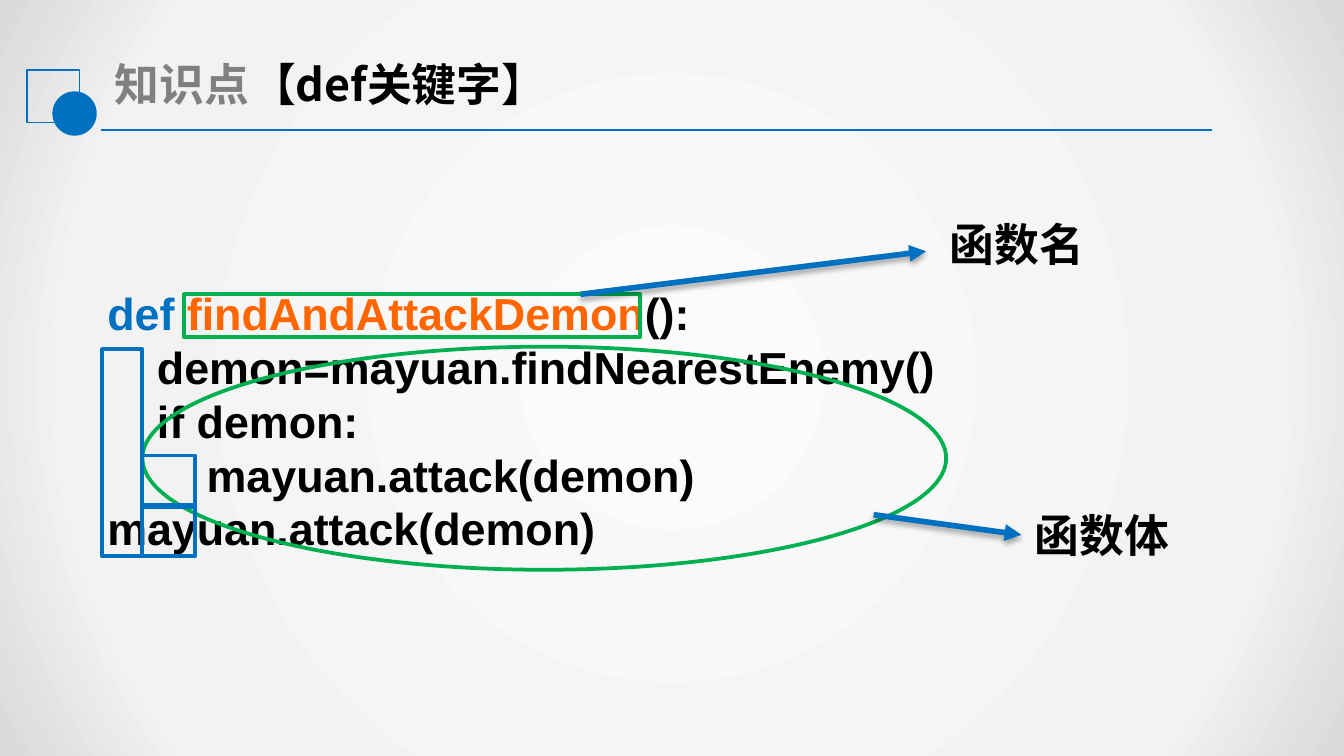
from pptx import Presentation
from pptx.dml.color import RGBColor as RGB
from pptx.enum.shapes import MSO_CONNECTOR as Link, MSO_SHAPE as Form
from pptx.enum.text import MSO_AUTO_SIZE as Fit, PP_ALIGN as Align
from pptx.oxml import parse_xml as to_xml
from pptx.oxml.ns import nsdecls
from pptx.util import Inches, Pt

BLUE = RGB(0x00, 0x70, 0xC0)
GREEN = RGB(0x00, 0xB0, 0x50)
ORANGE = RGB(0xFF, 0x66, 0x00)
GRAY = RGB(0x80, 0x80, 0x80)
BLACK = RGB(0x00, 0x00, 0x00)
GLOW = ((0, RGB(0xFB, 0xFB, 0xFB)), (79, RGB(0xF2, 0xF2, 0xF2)), (100, RGB(0xD9, 0xD9, 0xD9)))
HAN = "Noto Sans CJK SC"
NS = nsdecls("a")
WIDE, HIGH = 100, 56.25


def cells(*nums):
    return [Inches(num / 10) for num in nums]


class Board:
    """Style and current slide, on a grid of 100 columns by 56.25 rows."""

    size = Pt(24)

    def __init__(self, slide):
        self.slide = slide
        self.shapes = slide.shapes

    def shape(self, form, box, fill=None, line=None, width=2):
        item = self.shapes.add_shape(form, *cells(*box))
        item.shadow.inherit = False
        if fill is None:
            item.fill.background()
        else:
            item.fill.solid()
            item.fill.fore_color.rgb = fill
        if line is None:
            item.line.fill.background()
        else:
            item.line.color.rgb = line
            item.line.width = Pt(width)
        return item

    def glow(self, stops):
        item = self.shape(Form.RECTANGLE, (0, 0, WIDE, HIGH))
        marks = "".join(
            f'<a:gs pos="{pos * 1000}"><a:srgbClr val="{tint}"/></a:gs>' for pos, tint in stops)
        grad = to_xml(
            f'<a:gradFill {NS} rotWithShape="1"><a:gsLst>{marks}</a:gsLst><a:path path="circle">'
            '<a:fillToRect l="50000" t="50000" r="50000" b="50000"/></a:path></a:gradFill>')
        props = item.element.spPr
        props.replace(props.find("{*}noFill"), grad)

    def line(self, start, end, width, arrow=False):
        item = self.shapes.add_connector(Link.STRAIGHT, *cells(*start, *end))
        item.line.color.rgb = BLUE
        item.line.width = Pt(width)
        shade = ""
        if arrow:
            item.line._get_or_add_ln().append(to_xml(f'<a:tailEnd {NS} type="triangle"/>'))
            shade = ('<a:outerShdw blurRad="40000" dist="23000" dir="5400000" rotWithShape="0">'
                     '<a:srgbClr val="000000"><a:alpha val="35000"/></a:srgbClr></a:outerShdw>')
        item.element.spPr.append(to_xml(f"<a:effectLst {NS}>{shade}</a:effectLst>"))

    def text(self, box, lines, font=HAN, align=Align.LEFT):
        frame = self.shapes.add_textbox(*cells(*box)).text_frame
        frame.word_wrap = True
        frame.auto_size = Fit.SHAPE_TO_FIT_TEXT
        for row, runs in enumerate(lines):
            para = frame.add_paragraph() if row else frame.paragraphs[0]
            para.alignment = align
            for words, tint in runs:
                run = para.add_run()
                run.text = words
                run.font.size = self.size
                run.font.bold = True
                run.font.name = font
                run.font.color.rgb = tint
                run.font._element.append(to_xml(f'<a:ea {NS} typeface="{HAN}"/>'))


def main():
    deck = Presentation()
    deck.slide_width, deck.slide_height = cells(WIDE, HIGH)
    board = Board(deck.slides.add_slide(deck.slide_layouts[6]))

    board.glow(GLOW)
    board.text((7.5, 3.7, 12.1, 5), [[("知识点", GRAY)]], "Arial Narrow", Align.CENTER)
    board.text((17.7, 3.7, 45.7, 5), [[("【def关键字】", BLACK)]])
    board.shape(Form.RECTANGLE, (2, 5.2, 3.9, 3.9), line=BLUE, width=0.75)
    board.line((7.5, 9.7), (90.2, 9.7), 1.25)
    board.shape(Form.OVAL, (3.9, 6.8, 3.3, 3.3), fill=BLUE)

    board.text((7, 20.8, 64.3, 21.2), [
        [("def ", BLUE), ("findAndAttackDemon", ORANGE), ("():", BLACK)],
        [("    demon=mayuan.findNearestEnemy()", BLACK)],
        [("    if demon:", BLACK)],
        [("        mayuan.attack(demon)", BLACK)],
        [("mayuan.attack(demon)", BLACK)],
    ], "Arial")
    board.shape(Form.RECTANGLE, (13.7, 21.9, 33.9, 3.2), line=GREEN)
    board.line((43.2, 21.9), (68.9, 18.7), 3, arrow=True)
    board.text((69.7, 15.6, 26, 5), [[("函数名", BLACK)]])
    board.shape(Form.OVAL, (10.6, 25.8, 59.8, 16.6), line=GREEN)
    board.line((65, 38.3), (76, 39.8), 3, arrow=True)
    board.text((76, 37.3, 12.4, 5), [[("函数体", BLACK)]])

    for top in (33.9, 37.6):
        board.shape(Form.RECTANGLE, (10.6, top, 3.9, 3.8), line=BLUE)
    board.shape(Form.RECTANGLE, (7.6, 26, 3, 15.4), line=BLUE)
    deck.save("out.pptx")


if __name__ == "__main__":
    main()
